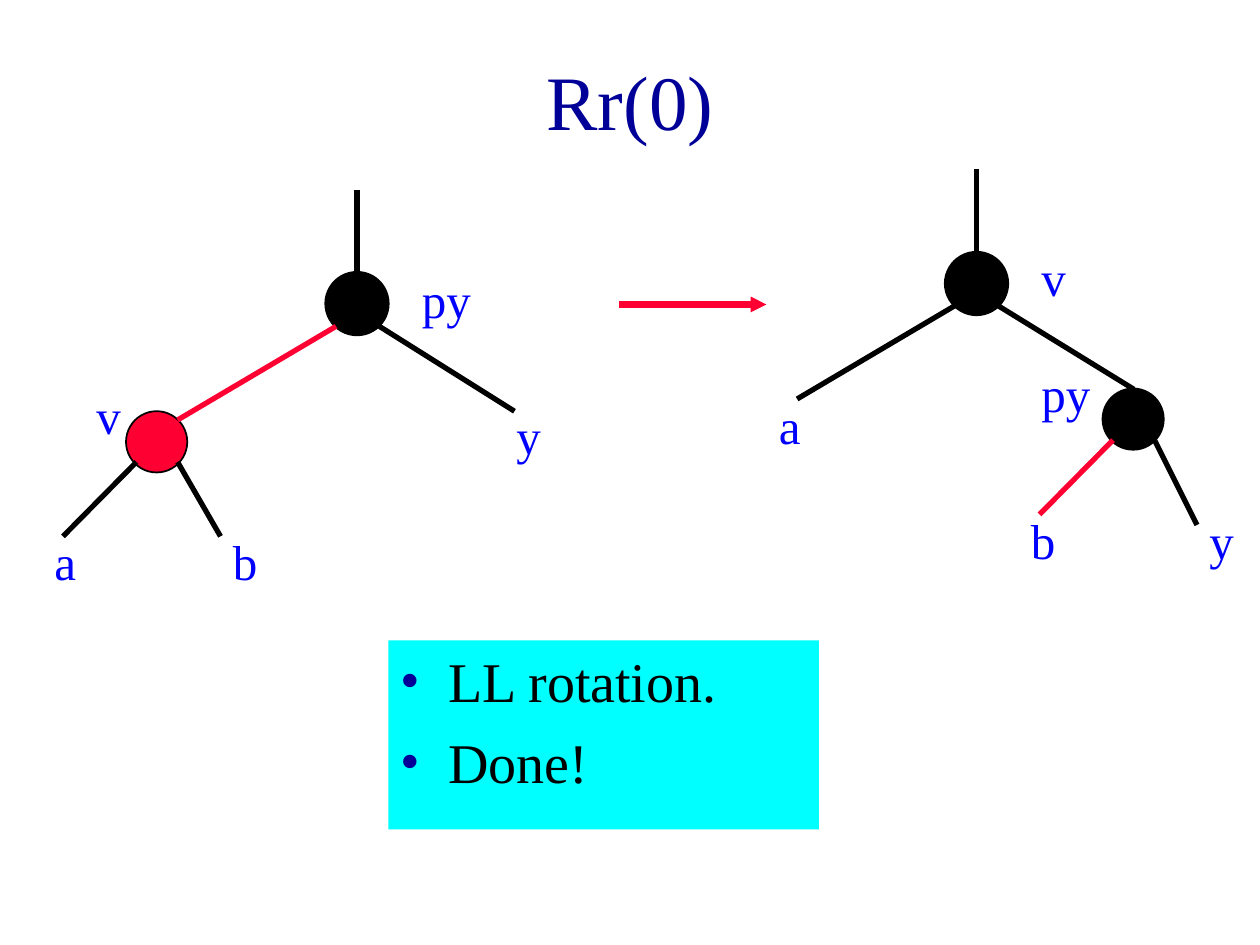
"""Build a slide showing the Rr(0) rotation as two trees and a note."""
from dataclasses import dataclass

from lxml.etree import SubElement as Sub
from pptx import Presentation as Deck
from pptx.dml.color import RGBColor as Rgb
from pptx.enum.shapes import MSO_CONNECTOR as Wire, MSO_SHAPE as Form
from pptx.enum.text import MSO_ANCHOR as Anchor, PP_ALIGN as Align
from pptx.oxml.ns import qn
from pptx.util import Pt


@dataclass(frozen=True)
class Theme:
    font: str = "Times New Roman"
    navy: str = "000099"
    blue: str = "0000FF"
    black: str = "000000"
    red: str = "FF0033"
    cyan: str = "00FFFF"
    head: int = 44
    body: int = 32
    label: int = 28


LOOK = Theme()
NODE = 35
TITLE = "Rr(0)"
NOTES = ["LL rotation.", "Done!"]
TREES = [
    {
        "nodes": [(186.5, 156, LOOK.black, 2.25), (72, 235, LOOK.red, 1)],
        "edges": [
            ((192, 186.5), (101.5, 240), LOOK.red),
            ((216, 186), (294, 235), LOOK.black),
            ((78, 264), (36, 306.5), LOOK.black),
            ((101.5, 264), (126, 306.5), LOOK.black),
            ((204, 108.5), (204, 156), LOOK.black),
        ],
        "labels": [
            ("a", 24, 300, 36), ("b", 126, 300, 36), ("y", 288, 228, 36),
            ("py", 234, 150.5, 60), ("v", 48, 217, 36),
        ],
    },
    {
        "nodes": [(540.5, 144.5, LOOK.black, 2.25), (630, 222, LOOK.black, 1)],
        "edges": [
            ((546, 174.5), (455.5, 228), LOOK.black),
            ((570, 174.5), (648, 222.5), LOOK.black),
            ((636, 251.5), (594, 294), LOOK.red),
            ((660, 252), (684, 300), LOOK.black),
            ((558, 96.5), (558, 144.5), LOOK.black),
        ],
        "labels": [
            ("a", 438, 222.5, 36), ("b", 582, 288, 36), ("y", 684, 288, 36),
            ("v", 588, 138, 60), ("py", 588, 204, 54),
        ],
    },
]


def write(para, text, size, color):
    run = para.add_run()
    run.text = text
    run.font.name = LOOK.font
    run.font.size = Pt(size)
    run.font.color.rgb = Rgb.from_string(color)


def link(shapes, start, end, color, width=3):
    line = shapes.add_connector(Wire.STRAIGHT, *map(Pt, start + end))
    line.line.color.rgb = Rgb.from_string(color)
    line.line.width = Pt(width)
    Sub(line._element.spPr, qn("a:effectLst"))
    return line


def node(shapes, left, top, color, width):
    disc = shapes.add_shape(Form.OVAL, Pt(left), Pt(top), Pt(NODE), Pt(NODE))
    disc.shadow.inherit = False
    disc.fill.solid()
    disc.fill.fore_color.rgb = Rgb.from_string(color)
    disc.line.color.rgb = Rgb.from_string(LOOK.black)
    disc.line.width = Pt(width)


def label(shapes, text, left, top, width):
    frame = shapes.add_textbox(Pt(left), Pt(top), Pt(width), Pt(41)).text_frame
    frame.word_wrap = True
    para = frame.paragraphs[0]
    para.space_before = Pt(17.5)
    write(para, text, LOOK.label, LOOK.blue)


def tree(slide, data):
    shapes = slide.shapes.add_group_shape().shapes
    for item in data["nodes"]:
        node(shapes, *item)
    for item in data["edges"]:
        link(shapes, *item)
    for item in data["labels"]:
        label(shapes, *item)


def title(slide):
    box = slide.shapes.title
    box.left, box.top, box.width, box.height = map(Pt, (54, 12, 612, 90))
    box.text_frame.vertical_anchor = Anchor.MIDDLE
    para = box.text_frame.paragraphs[0]
    para.alignment = Align.CENTER
    write(para, TITLE, LOOK.head, LOOK.navy)


def notes(slide):
    box = slide.shapes.add_textbox(Pt(222), Pt(366), Pt(246), Pt(108))
    box.fill.solid()
    box.fill.fore_color.rgb = Rgb.from_string(LOOK.cyan)
    frame = box.text_frame
    frame.word_wrap = True
    for i, text in enumerate(NOTES):
        para = frame.add_paragraph() if i else frame.paragraphs[0]
        para.space_before = Pt(8)
        props = para._p.get_or_add_pPr()
        props.set("marL", str(Pt(27)))
        props.set("indent", str(Pt(-27)))
        Sub(Sub(props, qn("a:buClr")), qn("a:srgbClr"), val=LOOK.navy)
        Sub(props, qn("a:buFont"), typeface=LOOK.font)
        Sub(props, qn("a:buChar"), char="•")
        write(para, text, LOOK.body, LOOK.black)


def arrow(slide):
    line = link(slide.shapes, (354, 174), (438, 174), LOOK.red, 4.5)
    Sub(line.line._get_or_add_ln(), qn("a:tailEnd"), type="triangle", w="sm", len="sm")


def main():
    deck = Deck()
    deck.slide_width, deck.slide_height = Pt(720), Pt(540)
    slide = deck.slides.add_slide(deck.slide_layouts[5])
    title(slide)
    notes(slide)
    tree(slide, TREES[0])
    arrow(slide)
    tree(slide, TREES[1])
    deck.save("out.pptx")


if __name__ == "__main__":
    main()
